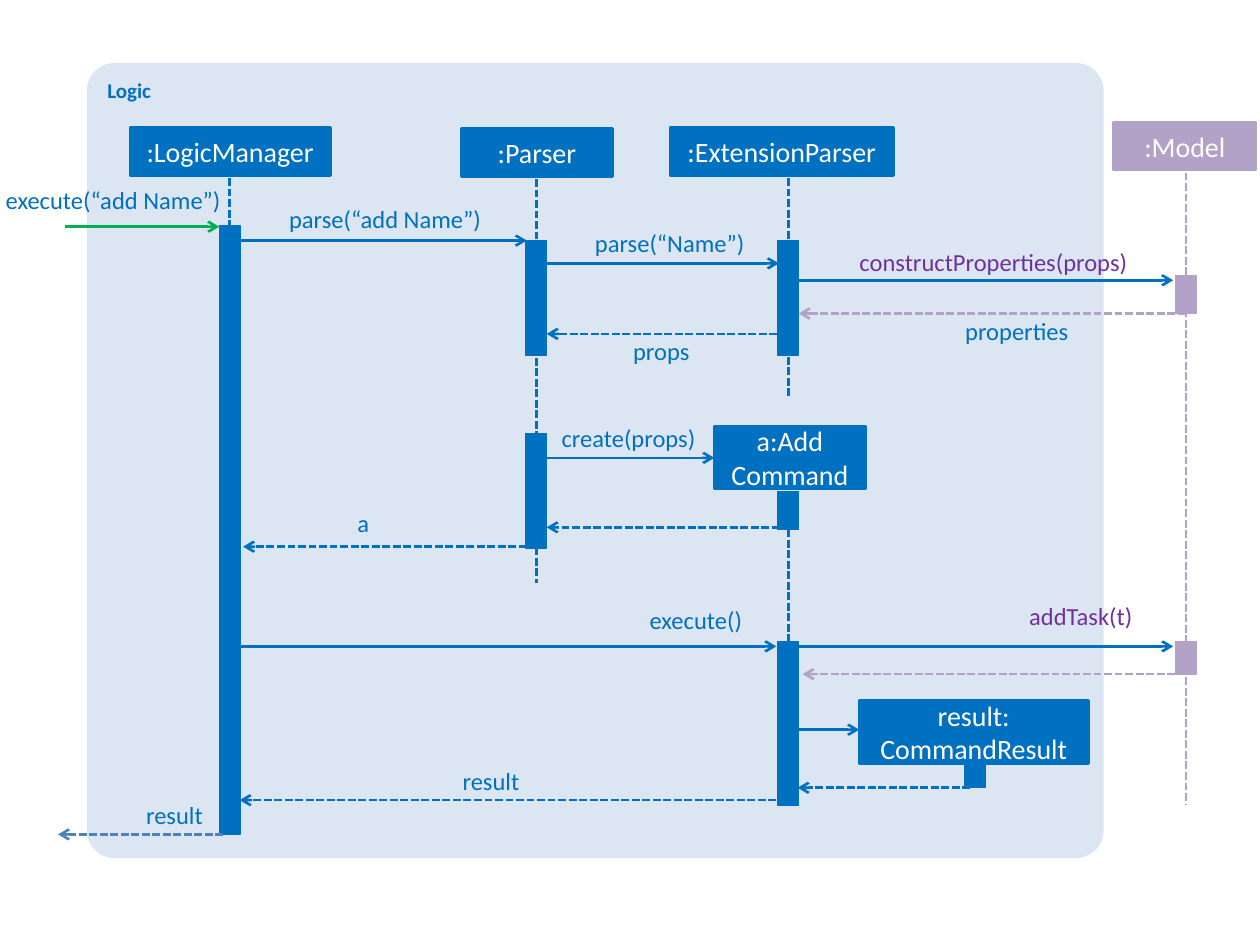
from pptx import Presentation
from pptx.dml.color import RGBColor
from pptx.enum.dml import MSO_LINE
from pptx.enum.shapes import MSO_CONNECTOR, MSO_SHAPE
from pptx.enum.text import MSO_ANCHOR, MSO_AUTO_SIZE, PP_ALIGN
from pptx.oxml.ns import qn
from pptx.util import Cm, Pt
from lxml.etree import SubElement

BLUE, LILAC, PURPLE = "0070C0", "B3A2C7", "7030A0"
GREEN, STEEL, PALE, WHITE = "00B050", "4F81BD", "DCE6F2", "FFFFFF"
HEAD_GAP = 0.05
BAR_WIDTH = 0.42
LABEL_HEIGHT = 0.61


def paint(color_format, value):
    """Set a colour from a hex string."""
    color_format.rgb = RGBColor.from_string(value)


def style_text(frame, text, size, colour, align, bold=False):
    """Write one paragraph in a text frame."""
    para = frame.paragraphs[0]
    para.text = text
    para.alignment = align
    para.font.name = "Calibri"
    para.font.size = Pt(size)
    para.font.bold = bold
    paint(para.font.color, colour)


def add_block(page, box, colour, line_width=0, kind=MSO_SHAPE.RECTANGLE):
    """Add a flat filled shape, outlined in its own colour if a width is given."""
    shape = page.shapes.add_shape(kind, *map(Cm, box))
    shape.shadow.inherit = False
    shape.fill.solid()
    paint(shape.fill.fore_color, colour)
    if line_width:
        paint(shape.line.color, colour)
        shape.line.width = Pt(line_width)
    else:
        shape.line.fill.background()
    return shape


def add_line(page, start, end, colour, dashed=False, arrow=False):
    """Add a straight line, with an open arrowhead at its end if wanted."""
    line = page.shapes.add_connector(MSO_CONNECTOR.STRAIGHT, *map(Cm, start + end))
    paint(line.line.color, colour)
    line.line.width = Pt(1.5)
    if dashed:
        line.line.dash_style = MSO_LINE.SQUARE_DOT
    properties = line._element.spPr
    if arrow:
        SubElement(properties.find(qn("a:ln")), qn("a:tailEnd"), type="arrow")
    SubElement(properties, qn("a:effectLst"))


def add_component(page, box, title):
    """Add the rounded panel that holds the component."""
    panel = add_block(page, box, PALE, kind=MSO_SHAPE.ROUNDED_RECTANGLE)
    panel.adjustments[0] = 0.035
    panel.text_frame.vertical_anchor = MSO_ANCHOR.TOP
    style_text(panel.text_frame, title, 12, BLUE, PP_ALIGN.LEFT, bold=True)


def add_participant(page, box, name, axis, lifeline, bars, colour=BLUE):
    """Add a head, then its lifeline and activation bars centred on the axis."""
    head = add_block(page, box, colour, 1.5)
    head.text_frame.vertical_anchor = MSO_ANCHOR.MIDDLE
    style_text(head.text_frame, name, 16, WHITE, PP_ALIGN.CENTER)
    if lifeline:
        top, bottom = lifeline
        top = top or box[1] + box[3] + HEAD_GAP
        add_line(page, (axis, top), (axis, bottom), colour, dashed=True)
    for top, height in bars:
        add_block(page, (axis - BAR_WIDTH / 2, top, BAR_WIDTH, height), colour, 0.75)


def add_message(page, start, end, y, colour=BLUE, reply=False):
    """Add a level arrow: solid for a call, dashed for a reply."""
    add_line(page, (start, y), (end, y), colour, dashed=reply, arrow=True)


def add_label(page, text, left, top, width, colour=BLUE):
    """Add a right-aligned message label."""
    label = page.shapes.add_textbox(*map(Cm, (left, top, width, LABEL_HEIGHT)))
    frame = label.text_frame
    frame.word_wrap = True
    frame.auto_size = MSO_AUTO_SIZE.SHAPE_TO_FIT_TEXT
    frame.margin_left = frame.margin_right = frame.margin_top = frame.margin_bottom = 0
    style_text(frame, text, 14, colour, PP_ALIGN.RIGHT)


# box, name, axis, lifeline (top or None for just below the head, bottom), bars, colour
PARTICIPANTS = [
    ((2.62, 2.57, 4.04, 0.97), ":LogicManager", 4.63, (None, 10.8), [(4.55, 12.27)]),
    ((9.3, 2.59, 3.05, 0.97), ":Parser", 10.81, (None, 11.76),
     [(4.85, 2.31), (8.74, 2.31)]),
    ((13.51, 2.57, 4.5, 0.97), ":ExtensionParser", 15.89, (None, 8), [(4.85, 2.31)]),
    ((14.4, 8.59, 3.05, 1.27), "a:Add\vCommand", 15.89, (10.67, 12.93),
     [(9.91, 0.76), (12.93, 3.3)]),
    ((22.45, 2.46, 2.87, 0.97), ":Model", 23.91, (None, 16.23),
     [(5.56, 0.76), (12.93, 0.66)], LILAC),
    ((17.32, 14.12, 4.62, 1.27), "result:\vCommandResult", 19.65, None, [(15.39, 0.48)]),
]

# start, end, y, colour, reply
MESSAGES = [
    (1.32, 4.42, 4.57, GREEN),
    (4.85, 10.62, 4.85),
    (11.02, 15.7, 5.31),
    (16.1, 23.65, 5.65),
    (23.9, 16.1, 6.32, LILAC, True),
    (15.67, 11.02, 6.73, BLUE, True),
    (11.02, 14.4, 9.23),
    (15.72, 11.02, 10.63, BLUE, True),
    (10.62, 4.9, 11.02, BLUE, True),
    (4.83, 15.65, 13.03),
    (16.1, 23.65, 13.03),
    (23.9, 16.18, 13.59, LILAC, True),
    (16.08, 17.32, 14.71),
    (19.56, 16.08, 15.88, BLUE, True),
    (15.65, 4.83, 16.13, BLUE, True),
    (4.5, 1.17, 16.82, STEEL, True),
]

# text, left, top, width, colour
LABELS = [
    ("execute(“add Name”)", 0.08, 3.73, 4.37),
    ("parse(“add Name”)", 5.74, 4.11, 3.96),
    ("parse(“Name”)", 11.81, 4.6, 3.2),
    ("constructProperties(props)", 17.32, 4.98, 5.41, PURPLE),
    ("properties", 18.97, 6.38, 2.57),
    ("props", 12.55, 6.78, 1.35),
    ("create(props)", 10.77, 8.53, 3.25),
    ("a", 6.83, 10.24, 0.61),
    ("execute()", 12.57, 12.19, 2.39),
    ("addTask(t)", 18.87, 12.12, 3.96, PURPLE),
    ("result", 8.74, 15.44, 1.73),
    ("result", 1.98, 16.13, 2.11),
]


def build_sequence_page(deck):
    """Draw the sequence diagram on a blank page."""
    page = deck.slides.add_slide(deck.slide_layouts[6])
    add_component(page, (1.75, 1.27, 20.5, 16.03), "Logic")
    for participant in PARTICIPANTS:
        add_participant(page, *participant)
    for message in MESSAGES:
        add_message(page, *message)
    for label in LABELS:
        add_label(page, *label)


deck = Presentation()
deck.slide_width, deck.slide_height = Cm(25.4), Cm(19.05)
build_sequence_page(deck)
deck.save("out.pptx")
